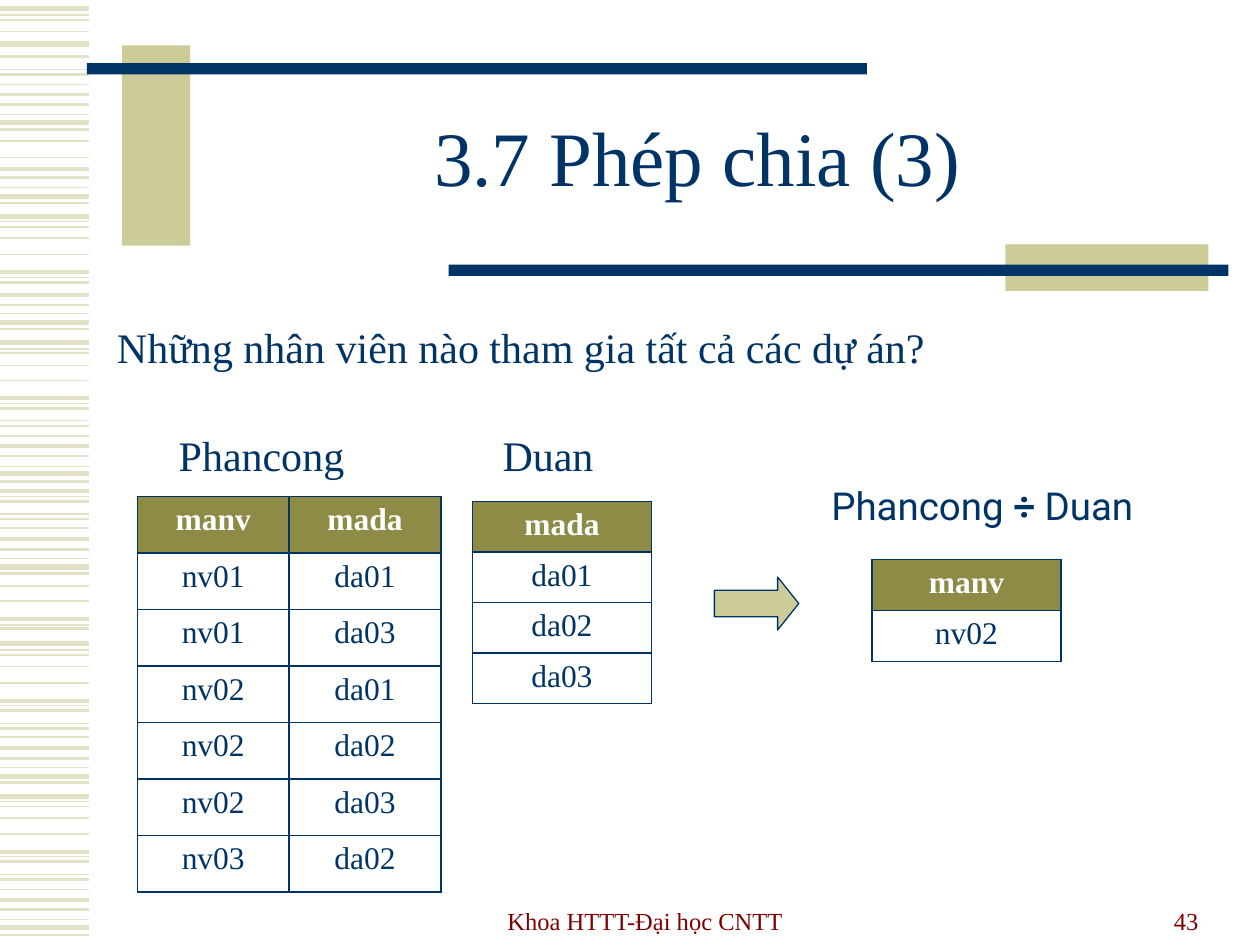
from lxml.etree import SubElement
from pptx import Presentation
from pptx.dml.color import RGBColor
from pptx.enum.shapes import MSO_CONNECTOR, MSO_SHAPE
from pptx.enum.text import MSO_ANCHOR, MSO_AUTO_SIZE, PP_ALIGN
from pptx.oxml import parse_xml
from pptx.oxml.ns import nsdecls, qn
from pptx.util import Pt

PX = 9144  # EMU per px, 100 px to the inch
SERIF, SANS = "Times New Roman", "Roboto"
COLORS = {"navy": "003366", "sand": "CCCC99", "stripe": "E3E2C7",
          "olive": "8E8B47", "white": "FFFFFF", "maroon": "800000"}
LEFT, CENTER, RIGHT = PP_ALIGN.LEFT, PP_ALIGN.CENTER, PP_ALIGN.RIGHT
TOP, MIDDLE, BOTTOM = MSO_ANCHOR.TOP, MSO_ANCHOR.MIDDLE, MSO_ANCHOR.BOTTOM

# Stripes at the left edge: line width in points -> heights
STRIPE_LENGTH = 71
STRIPES = {
    3: [7, 35, 97, 156, 172, 256, 272, 376, 450, 511, 616, 632, 736],
    2.25: [75, 134, 216, 234, 316, 354, 390, 428, 491, 556, 594, 676, 714],
    1.5: [45, 59, 83, 103, 141, 161, 224, 242, 261, 324, 338, 362, 382, 398,
          412, 436, 455, 499, 564, 578, 602, 621, 684, 698, 722, 742],
    1: [16, 25, 67, 112, 125, 180, 189, 202, 280, 290, 302, 346, 419, 465,
        477, 520, 529, 542, 585, 640, 649, 662, 706],
    0.75: [12, 55, 91, 149, 176, 220, 249, 277, 320, 334, 370, 394, 408, 443,
           496, 516, 560, 574, 609, 636, 680, 694, 730],
}

# Title frame: box, colour
BARS = [
    ((97, 36, 54, 159), "sand"),
    ((69, 50, 619, 9), "navy"),
    ((798, 194, 161, 37), "sand"),
    ((356, 210, 619, 9), "navy"),
]

# Text: box, runs (text, bold), size, font, colour, alignment, anchor, wrap
TEXTS = [
    ((150, 67, 807, 125), [("3.7 Phép chia (3)", False)],
     44, SERIF, "navy", CENTER, MIDDLE, True),
    ((343, 697, 338, 50), [("Khoa HTTT-Đại học CNTT", False)],
     14, SERIF, "maroon", CENTER, BOTTOM, True),
    ((721, 697, 240, 50), [("43", False)],
     14, SERIF, "maroon", RIGHT, BOTTOM, True),
    ((132, 336, 153, 51), [("Phancong", False)],
     24, SERIF, "navy", LEFT, TOP, False),
    ((389, 336, 93, 51), [("Duan", False)],
     24, SERIF, "navy", LEFT, TOP, False),
    ((83, 250, 667, 51),
     [("Những nhân viên nào tham gia tất cả các dự án?", False)],
     24, SERIF, "navy", LEFT, TOP, False),
    ((650, 378, 300, 47),
     [("Phancong ", False), ("÷", True), (" Duan", False)],
     22, SANS, "navy", LEFT, TOP, True),
]

# Relations: box, rows with the header first
TABLES = [
    ((109, 394, 241, 314),
     [("manv", "mada"), ("nv01", "da01"), ("nv01", "da03"), ("nv02", "da01"),
      ("nv02", "da02"), ("nv02", "da03"), ("nv03", "da02")]),
    ((375, 398, 142, 160), [("mada",), ("da01",), ("da02",), ("da03",)]),
    ((692, 444, 150, 81), [("manv",), ("nv02",)]),
]
ARROW = (567, 458, 67, 42)


def emu(*lengths):
    return [round(n * PX) for n in lengths]


def rgb(name):
    return RGBColor.from_string(COLORS[name])


def style(run, size, font, color, bold):
    run.font.size = Pt(size)
    run.font.name = font
    run.font.bold = bold
    run.font.color.rgb = rgb(color)


def add_stripe(s, y, width):
    line = s.shapes.add_connector(MSO_CONNECTOR.STRAIGHT,
                                  *emu(0, y, STRIPE_LENGTH, y))
    line.line.color.rgb = rgb("stripe")
    line.line.width = Pt(width)
    SubElement(line._element.spPr, qn("a:effectLst"))


def add_filled(s, kind, box, color):
    sp = s.shapes.add_shape(kind, *emu(*box))
    sp.shadow.inherit = False
    sp.fill.solid()
    sp.fill.fore_color.rgb = rgb(color)
    sp.line.fill.background()
    return sp


def add_text(s, box, runs, size, font, color, align, anchor, wrap):
    tf = s.shapes.add_textbox(*emu(*box)).text_frame
    tf.word_wrap = wrap
    tf.vertical_anchor = anchor
    if anchor == TOP:
        tf.auto_size = MSO_AUTO_SIZE.SHAPE_TO_FIT_TEXT
    p = tf.paragraphs[0]
    p.alignment = align
    if anchor == MIDDLE:
        p.line_spacing = 0.85
    for text, bold in runs:
        r = p.add_run()
        r.text = text
        style(r, size, font, color, bold)


def add_borders(cell):
    tc_pr = cell._tc.get_or_add_tcPr()
    for i, side in enumerate(("lnL", "lnR", "lnT", "lnB")):
        # Borders come before the fill in a cell's properties
        tc_pr.insert(i, parse_xml(
            f'<a:{side} {nsdecls("a")} w="{Pt(1)}"><a:solidFill>'
            f'<a:srgbClr val="{COLORS["navy"]}"/></a:solidFill></a:{side}>'))


def add_relation(s, box, rows):
    n_rows, n_cols = len(rows), len(rows[0])
    table = s.shapes.add_table(n_rows, n_cols, *emu(*box)).table
    table.horz_banding = False
    for column in table.columns:
        column.width = round(box[2] * PX / n_cols)
    for i, values in enumerate(rows):
        table.rows[i].height = round(box[3] * PX / n_rows)
        header = i == 0
        for j, value in enumerate(values):
            cell = table.cell(i, j)
            cell.text = value
            p = cell.text_frame.paragraphs[0]
            p.alignment = CENTER
            style(p.runs[0], 18, SERIF, "white" if header else "navy", header)
            cell.fill.solid()
            cell.fill.fore_color.rgb = rgb("olive" if header else "white")
            add_borders(cell)


def main():
    prs = Presentation()
    prs.slide_width, prs.slide_height = emu(1000, 750)
    s = prs.slides.add_slide(prs.slide_layouts[6])

    # Background decoration
    for width, heights in STRIPES.items():
        for y in heights:
            add_stripe(s, y, width)
    for box, color in BARS:
        add_filled(s, MSO_SHAPE.RECTANGLE, box, color)

    # Content
    for text in TEXTS:
        add_text(s, *text)
    for box, rows in TABLES:
        add_relation(s, box, rows)

    # Arrow to the result
    arrow = add_filled(s, MSO_SHAPE.RIGHT_ARROW, ARROW, "sand")
    arrow.adjustments[0] = 0.5
    arrow.adjustments[1] = 0.4
    arrow.line.color.rgb = rgb("navy")
    arrow.line.width = Pt(0.75)

    prs.save("out.pptx")


if __name__ == "__main__":
    main()
